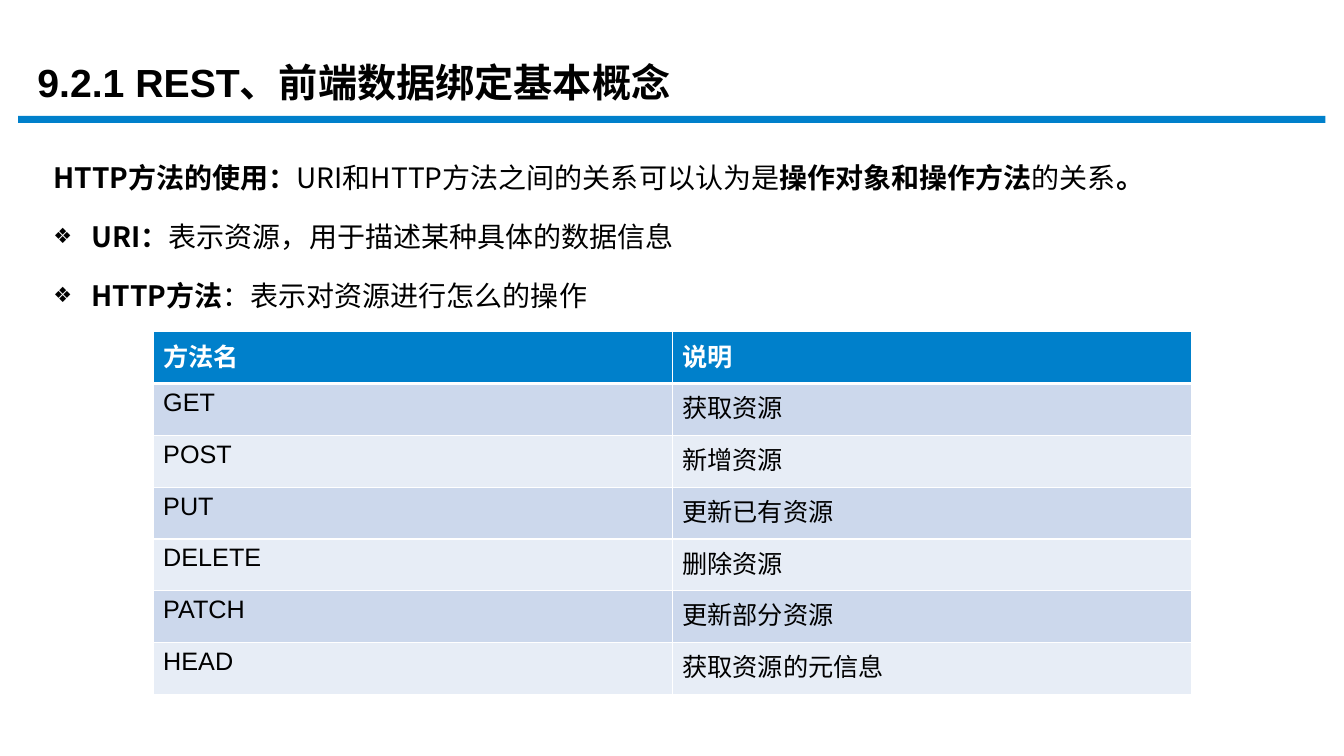
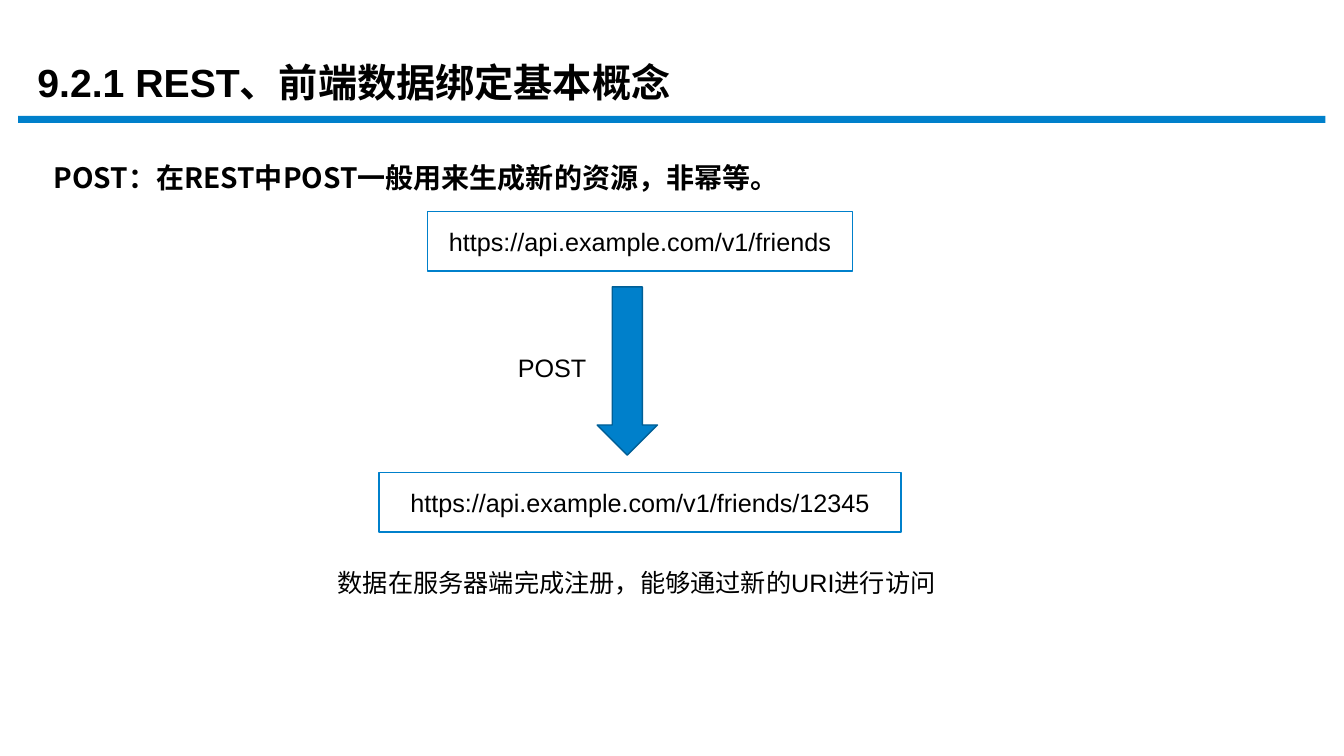
"""Build two slides on REST resources and HTTP methods."""
from dataclasses import dataclass

import pptx
import pptx.dml.color
import pptx.enum.shapes
import pptx.enum.text
import pptx.oxml.ns
import pptx.util
from lxml import etree

Cm = pptx.util.Cm
Pt = pptx.util.Pt
Align = pptx.enum.text.PP_ALIGN
Mid = pptx.enum.text.MSO_ANCHOR.MIDDLE
Form = pptx.enum.shapes.MSO_SHAPE
qn = pptx.oxml.ns.qn

HUES = {
    "blue": "0080CB",
    "navy": "005F96",
    "black": "000000",
    "white": "FFFFFF",
    "dark": "CCD8EC",
    "light": "E7EDF6",
}
SANS = "Arial"
HAN = "Noto Sans CJK SC"
TITLE = "9.2.1 REST、前端数据绑定基本概念"
MIDDLE = 16.13


@dataclass
class Area:
    left: float
    top: float
    width: float
    height: float

    def sizes(self) -> tuple:
        return Cm(self.left), Cm(self.top), Cm(self.width), Cm(self.height)


@dataclass
class Line:
    spans: list[tuple[str, bool]]
    mark: bool = False


@dataclass
class Node:
    text: str
    top: float
    width: float


INTRO = [
    Line([
        ("HTTP方法的使用：", True),
        ("URI和HTTP方法之间的关系可以认为是", False),
        ("操作对象和操作方法", True),
        ("的关系", False),
        ("。", True),
    ]),
    Line([("URI：", True), ("表示资源，用于描述某种具体的数据信息", False)], True),
    Line([("HTTP方法", True), ("：表示对资源进行怎么的操作", False)], True),
]
POST = [Line([("POST：在REST中POST一般用来生成新的资源，非幂等。", True)])]
ROWS = [
    ("方法名", "说明"),
    ("GET", "获取资源"),
    ("POST", "新增资源"),
    ("PUT", "更新已有资源"),
    ("DELETE", "删除资源"),
    ("PATCH", "更新部分资源"),
    ("HEAD", "获取资源的元信息"),
]
NODES = [
    Node("https://api.example.com/v1/friends", 5.33, 10.72),
    Node("https://api.example.com/v1/friends/12345", 11.91, 13.16),
]


def tint(name: str) -> pptx.dml.color.RGBColor:
    return pptx.dml.color.RGBColor.from_string(HUES[name])


def style(para, size: float, hue: str = "black", face: str = SANS, bold: bool | None = None) -> None:
    font = para.font
    font.size = Pt(size)
    font.color.rgb = tint(hue)
    font.name = face
    font.bold = bold
    etree.SubElement(font._element, qn("a:ea"), typeface=HAN)


def place(item, area: Area) -> None:
    item.left, item.top, item.width, item.height = area.sizes()


def shape(slide, form, area: Area, fill: str, edge: str | None = None):
    item = slide.shapes.add_shape(form, *area.sizes())
    item.shadow.inherit = False
    item.fill.solid()
    item.fill.fore_color.rgb = tint(fill)
    if edge:
        item.line.color.rgb = tint(edge)
        item.line.width = Pt(1)
    else:
        item.line.fill.background()
    return item


def bullet(para, mark: bool) -> None:
    props = para._p.get_or_add_pPr()
    inset = Cm(0.96) if mark else 0
    props.set("marL", str(int(inset)))
    props.set("indent", str(-int(inset)))
    if not mark:
        etree.SubElement(props, qn("a:buNone"))
        return
    color = etree.SubElement(props, qn("a:buClr"))
    etree.SubElement(color, qn("a:srgbClr"), val=HUES["black"])
    etree.SubElement(props, qn("a:buSzPct"), val="75000")
    etree.SubElement(props, qn("a:buChar"), char="❖")


def body(item, lines: list[Line], high: float) -> None:
    place(item, Area(1.09, 3.5, 31.5, high))
    frame = item.text_frame
    frame.auto_size = pptx.enum.text.MSO_AUTO_SIZE.NONE
    for num, line in enumerate(lines):
        para = frame.add_paragraph() if num else frame.paragraphs[0]
        para.line_spacing = Pt(36)
        para.space_before = Pt(6 if num else 0)
        bullet(para, line.mark)
        style(para, 20, face=HAN)
        for text, bold in line.spans:
            run = para.add_run()
            run.text = text
            run.font.bold = bold


def page(deck, lines: list[Line], high: float):
    slide = deck.slides.add_slide(deck.slide_layouts[1])
    title = slide.shapes.title
    place(title, Area(0.69, 0.89, 19.41, 2.51))
    frame = title.text_frame
    frame.text = TITLE
    frame.vertical_anchor = Mid
    frame.auto_size = pptx.enum.text.MSO_AUTO_SIZE.NONE
    para = frame.paragraphs[0]
    para.alignment = Align.LEFT
    para.line_spacing = 0.9
    style(para, 28, bold=True)
    shape(slide, Form.RECTANGLE, Area(0.46, 2.92, 32.94, 0.18), "blue")
    body(slide.placeholders[1], lines, high)
    return slide


def border(cell, low: float) -> None:
    props = cell._tc.get_or_add_tcPr()
    for side, width in (("L", 1), ("R", 1), ("T", 1), ("B", low)):
        line = etree.SubElement(props, qn(f"a:ln{side}"), w=str(int(Pt(width))))
        fill = etree.SubElement(line, qn("a:solidFill"))
        etree.SubElement(fill, qn("a:srgbClr"), val=HUES["white"])


def grid(slide) -> None:
    area = Area(3.86, 8.36, 26.16, 9.14)
    table = slide.shapes.add_table(len(ROWS), 2, *area.sizes()).table
    for num, row in enumerate(ROWS):
        head = num == 0
        fill = "blue" if head else ("dark" if num % 2 else "light")
        for col, text in enumerate(row):
            cell = table.cell(num, col)
            border(cell, 3 if head else 1)
            cell.fill.solid()
            cell.fill.fore_color.rgb = tint(fill)
            cell.text = text
            style(cell.text_frame.paragraphs[0], 18, "white" if head else "black", bold=head)


def label(slide, text: str, area: Area, wrap: bool) -> None:
    frame = slide.shapes.add_textbox(*area.sizes()).text_frame
    frame.word_wrap = wrap
    frame.text = text
    style(frame.paragraphs[0], 18)


def flow(slide) -> None:
    for node in NODES:
        area = Area(MIDDLE - node.width / 2, node.top, node.width, 1.5)
        frame = shape(slide, Form.RECTANGLE, area, "white", "blue").text_frame
        frame.text = node.text
        frame.vertical_anchor = Mid
        para = frame.paragraphs[0]
        para.alignment = Align.CENTER
        style(para, 18)
    shape(slide, Form.DOWN_ARROW, Area(15.05, 7.23, 1.52, 4.24), "blue", "navy")
    label(slide, "POST", Area(12.8, 8.76, 2.26, 1.02), False)
    label(slide, "数据在服务器端完成注册，能够通过新的URI进行访问", Area(8.26, 14.17, 15.72, 1.02), True)


def main() -> None:
    deck = pptx.Presentation()
    deck.slide_width, deck.slide_height = Cm(33.87), Cm(19.05)
    grid(page(deck, INTRO, 4.8))
    flow(page(deck, POST, 1.55))
    deck.save("out.pptx")


if __name__ == "__main__":
    main()
